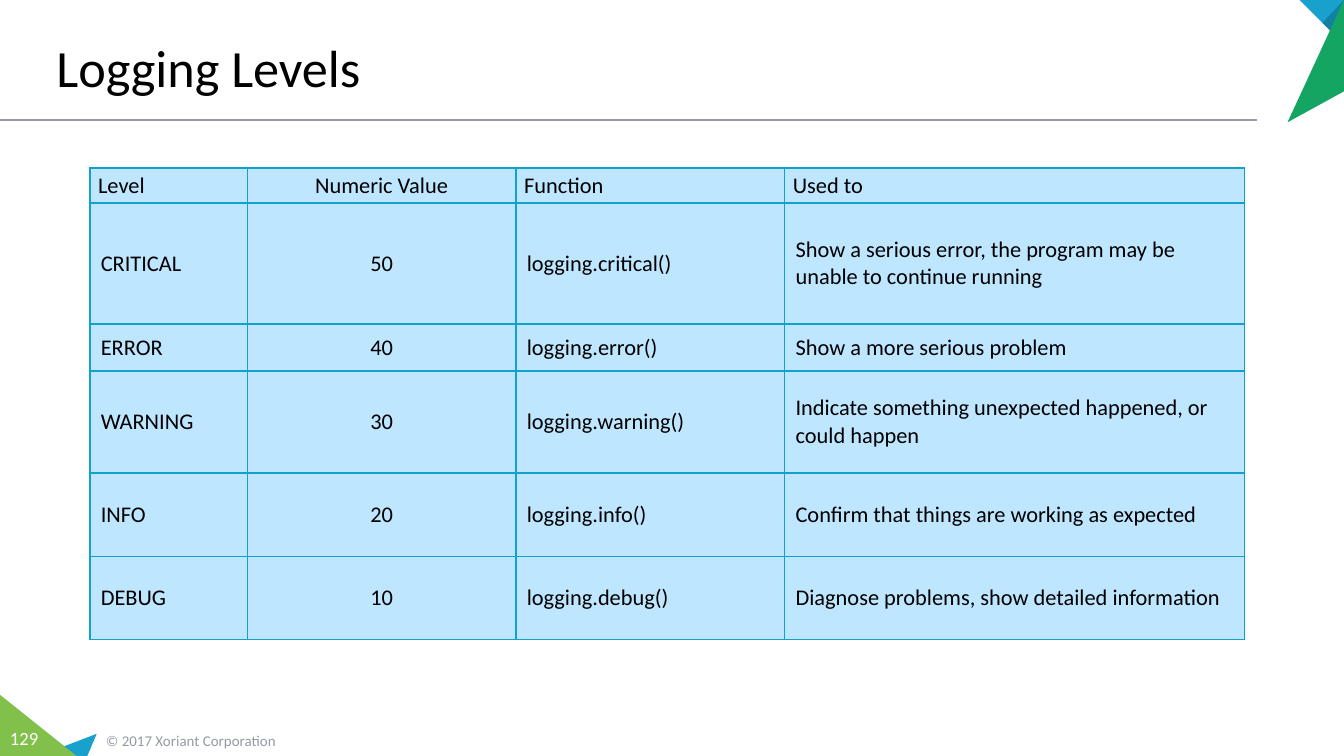
from dataclasses import dataclass

from pptx import Presentation, util as u
from pptx.dml.color import RGBColor
from pptx.enum import shapes, text
from pptx.oxml import parse_xml
from pptx.oxml.ns import nsdecls
from pptx.slide import Slide


@dataclass(frozen=True)
class Theme:
    font: str = "Calibri"
    black: str = "000000"
    white: str = "FFFFFF"
    gray: str = "959AA5"
    blue: str = "17A1CC"
    navy: str = "1281A3"
    green: str = "15A563"
    lime: str = "81C14B"
    cell: str = "BEE6FF"
    edge: str = "12A0CC"
    title: int = 28
    body: int = 12
    num: int = 10
    foot: int = 8


@dataclass(frozen=True)
class Wedge:
    color: str
    points: tuple[tuple[float, float], ...]


@dataclass(frozen=True)
class Label:
    words: str
    box: tuple[float, float, float, float]
    size: int
    color: str
    side: float
    align: text.PP_ALIGN


@dataclass(frozen=True)
class Level:
    name: str
    value: str
    call: str
    use: str
    height: float

    def cells(self) -> tuple[str, ...]:
        return self.name, self.value, self.call, self.use


T = Theme()
LEFT, MID = text.PP_ALIGN.LEFT, text.PP_ALIGN.CENTER
WIDE = 10
HIGH = WIDE * 9 / 16

WEDGES = (
    Wedge(T.blue, ((0.72, 5.46), (0.65, HIGH), (0.29, HIGH))),
    Wedge(T.lime, ((0, 5.17), (0.57, HIGH), (0, HIGH))),
    Wedge(T.blue, ((9.67, 0), (WIDE, 0), (WIDE, 0.33))),
    Wedge(T.navy, ((9.84, 0.17), (WIDE, 0), (WIDE, 0.33))),
    Wedge(T.green, ((9.58, 0.91), (WIDE, 0), (WIDE, 0.68))),
)
LABELS = (
    Label("© 2017 Xoriant Corporation", (0.69, 5.39, 2.33, 0.24),
          T.foot, T.gray, 0.1, LEFT),
    Label("129", (0, 5.36, 0.36, 0.27), T.num, T.white, 0, MID),
)
COLS = (1.17, 2, 2, 3.42)
LEVELS = (
    Level("Level", "Numeric Value", "Function", "Used to", 0.26),
    Level("CRITICAL", "50", "logging.critical()",
          "Show a serious error, the program may be unable to continue running", 0.9),
    Level("ERROR", "40", "logging.error()", "Show a more serious problem", 0.35),
    Level("WARNING", "30", "logging.warning()",
          "Indicate something unexpected happened, or could happen", 0.76),
    Level("INFO", "20", "logging.info()",
          "Confirm that things are working as expected", 0.62),
    Level("DEBUG", "10", "logging.debug()",
          "Diagnose problems, show detailed information", 0.62),
)


def style(para, size: int, color: str, align: text.PP_ALIGN = LEFT) -> None:
    para.alignment = align
    para.font.name = T.font
    para.font.size = u.Pt(size)
    para.font.color.rgb = RGBColor.from_string(color)


def draw_rule(slide: Slide) -> None:
    y = u.Inches(0.89)
    rule = slide.shapes.add_connector(
        shapes.MSO_CONNECTOR.STRAIGHT, 0, y, u.Inches(9.35), y)
    rule.line.color.rgb = RGBColor.from_string(T.gray)
    rule.line.width = u.Pt(1)
    rule._element.spPr.append(parse_xml(f"<a:effectLst {nsdecls('a')}/>"))


def draw_wedge(slide: Slide, wedge: Wedge) -> None:
    first, *rest = [(u.Inches(x), u.Inches(y)) for x, y in wedge.points]
    pen = slide.shapes.build_freeform(*first)
    pen.add_line_segments(rest, close=True)
    shape = pen.convert_to_shape()
    shape.shadow.inherit = False
    shape.fill.solid()
    shape.fill.fore_color.rgb = RGBColor.from_string(wedge.color)
    shape.line.fill.background()


def draw_label(slide: Slide, label: Label) -> None:
    frame = slide.shapes.add_textbox(*map(u.Inches, label.box)).text_frame
    frame.word_wrap = True
    frame.vertical_anchor = text.MSO_ANCHOR.MIDDLE
    frame.margin_left = frame.margin_right = u.Inches(label.side)
    frame.text = label.words
    style(frame.paragraphs[0], label.size, label.color, label.align)


def draw_title(slide: Slide, words: str) -> None:
    title = slide.shapes.title
    title.left, title.top, title.width, title.height = map(
        u.Inches, (0.32, 0.06, 9, 0.72))
    frame = title.text_frame
    frame.text = words
    frame.auto_size = text.MSO_AUTO_SIZE.NONE
    frame.vertical_anchor = text.MSO_ANCHOR.BOTTOM
    style(frame.paragraphs[0], T.title, T.black)


def add_edges(cell) -> None:
    props = cell._tc.get_or_add_tcPr()
    for spot, side in enumerate(("lnL", "lnR", "lnT", "lnB")):
        props.insert(spot, parse_xml(
            f'<a:{side} {nsdecls("a")} w="{u.Pt(0.75)}"><a:solidFill>'
            f'<a:srgbClr val="{T.edge}"/></a:solidFill></a:{side}>'))


def draw_table(slide: Slide) -> None:
    high = sum(level.height for level in LEVELS)
    table = slide.shapes.add_table(
        len(LEVELS), len(COLS), u.Inches(0.67), u.Inches(1.25),
        u.Inches(sum(COLS)), u.Inches(high)).table
    table.first_row = table.horz_banding = False
    for col, width in zip(table.columns, COLS):
        col.width = u.Inches(width)
    for r, level in enumerate(LEVELS):
        table.rows[r].height = u.Inches(level.height)
        side, gap = (0.08, 0.05) if r else (0.06, 0.03)
        for c, words in enumerate(level.cells()):
            cell = table.cell(r, c)
            cell.text = words
            cell.vertical_anchor = text.MSO_ANCHOR.MIDDLE
            cell.margin_left = cell.margin_right = u.Inches(side)
            cell.margin_top = cell.margin_bottom = u.Inches(gap)
            cell.fill.solid()
            cell.fill.fore_color.rgb = RGBColor.from_string(T.cell)
            add_edges(cell)
            style(cell.text_frame.paragraphs[0], T.body, T.black,
                  MID if c == 1 else LEFT)


def main() -> None:
    deck = Presentation()
    deck.slide_width, deck.slide_height = u.Inches(WIDE), u.Inches(HIGH)
    slide = deck.slides.add_slide(deck.slide_layouts[5])

    # Frame: rule, corner wedges, footer
    draw_rule(slide)
    for wedge in WEDGES:
        draw_wedge(slide, wedge)
    for label in LABELS:
        draw_label(slide, label)

    # Content
    draw_title(slide, "Logging Levels")
    draw_table(slide)
    deck.save("out.pptx")


if __name__ == "__main__":
    main()
